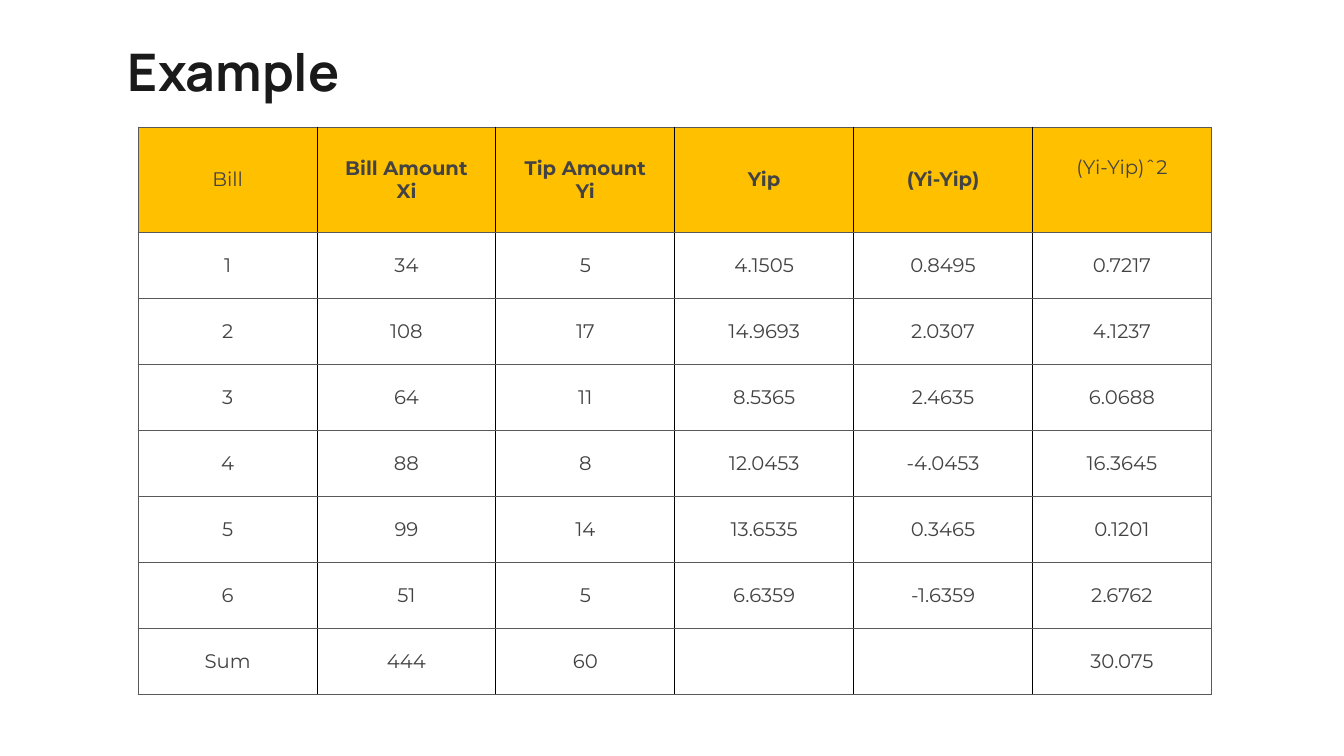
from dataclasses import dataclass

from lxml import etree
from pptx import Presentation
from pptx import util as u
from pptx.dml.color import RGBColor
from pptx.enum import text
from pptx.oxml import ns

INK = RGBColor(0x1A, 0x1A, 0x1A)
GREY = RGBColor(0x43, 0x43, 0x43)
AMBER = RGBColor(0xFF, 0xC0, 0x00)
OUTER_LINE = RGBColor(0x59, 0x59, 0x59)
INNER_LINE = RGBColor(0x00, 0x00, 0x00)

SLIDE_WIDTH = u.Inches(13.33)
SLIDE_HEIGHT = u.Inches(7.5)
HEADER_SHARE = 0.14


@dataclass(frozen=True)
class Area:
    left: float
    top: float
    width: float
    height: float

    def lengths(self) -> tuple[int, int, int, int]:
        return (
            int(SLIDE_WIDTH * self.left / 100),
            int(SLIDE_HEIGHT * self.top / 100),
            int(SLIDE_WIDTH * self.width / 100),
            int(SLIDE_HEIGHT * self.height / 100),
        )


@dataclass(frozen=True)
class Heading:
    label: str
    bold: bool = True
    bottom_margin: float = 0.05


TITLE_AREA = Area(8.78, 1.87, 82.52, 16)
TABLE_AREA = Area(10.28, 16.8, 79.86, 75)

HEADINGS = [
    Heading("Bill", bold=False),
    Heading("Bill Amount\nXi"),
    Heading("Tip Amount\nYi"),
    Heading("Yip"),
    Heading("(Yi-Yip)"),
    Heading("(Yi-Yip)ˆ2", bold=False, bottom_margin=0.29),
]
BILLS = [
    ("1", "34", "5", "4.1505", "0.8495", "0.7217"),
    ("2", "108", "17", "14.9693", "2.0307", "4.1237"),
    ("3", "64", "11", "8.5365", "2.4635", "6.0688"),
    ("4", "88", "8", "12.0453", "-4.0453", "16.3645"),
    ("5", "99", "14", "13.6535", "0.3465", "0.1201"),
    ("6", "51", "5", "6.6359", "-1.6359", "2.6762"),
    ("Sum", "444", "60", "", "", "30.075"),
]


def style_span(span, font: str, size: float, color: RGBColor, bold: bool) -> None:
    span.font.name = font
    span.font.size = u.Pt(size)
    span.font.color.rgb = color
    span.font.bold = bold


def add_title(page, words: str) -> None:
    box = page.shapes.add_textbox(*TITLE_AREA.lengths())
    frame = box.text_frame
    frame.word_wrap = True
    frame.vertical_anchor = text.MSO_ANCHOR.MIDDLE
    frame.text = words
    para = frame.paragraphs[0]
    para.line_spacing = 0.9
    style_span(para.runs[0], "Manrope", 37, INK, True)


def add_borders(cell, left: RGBColor, right: RGBColor) -> None:
    properties = cell._tc.get_or_add_tcPr()
    sides = {"lnL": left, "lnR": right, "lnT": OUTER_LINE, "lnB": OUTER_LINE}
    for side, color in sides.items():
        line = etree.SubElement(properties, ns.qn(f"a:{side}"), w=str(u.Pt(0.75)))
        fill = etree.SubElement(line, ns.qn("a:solidFill"))
        etree.SubElement(fill, ns.qn("a:srgbClr"), val=str(color))


def fill_cell(cell, words: str, bold: bool) -> None:
    cell.vertical_anchor = text.MSO_ANCHOR.MIDDLE
    cell.text_frame.text = words
    for para in cell.text_frame.paragraphs:
        para.alignment = text.PP_ALIGN.CENTER
        for span in para.runs:
            style_span(span, "Montserrat", 14, GREY, bold)


def add_bill_table(page) -> None:
    frame = page.shapes.add_table(len(BILLS) + 1, len(HEADINGS), *TABLE_AREA.lengths())
    table = frame.table
    table.first_row = False
    table.horz_banding = False

    header_height = int(SLIDE_HEIGHT * HEADER_SHARE)
    bill_height = (frame.height - header_height) // len(BILLS)
    for index, row in enumerate(table.rows):
        row.height = bill_height if index else header_height

    last = len(HEADINGS) - 1
    for column, heading in enumerate(HEADINGS):
        left = INNER_LINE if column else OUTER_LINE
        right = INNER_LINE if column < last else OUTER_LINE
        for row in range(len(BILLS) + 1):
            add_borders(table.cell(row, column), left, right)

        header = table.cell(0, column)
        header.fill.solid()
        header.fill.fore_color.rgb = AMBER
        header.margin_bottom = u.Inches(heading.bottom_margin)
        fill_cell(header, heading.label, heading.bold)

        for row, bill in enumerate(BILLS, start=1):
            cell = table.cell(row, column)
            cell.fill.background()
            fill_cell(cell, bill[column], False)


def main() -> None:
    deck = Presentation()
    deck.slide_width = SLIDE_WIDTH
    deck.slide_height = SLIDE_HEIGHT
    page = deck.slides.add_slide(deck.slide_layouts[6])
    add_title(page, "Example")
    add_bill_table(page)
    deck.save("out.pptx")


if __name__ == "__main__":
    main()
